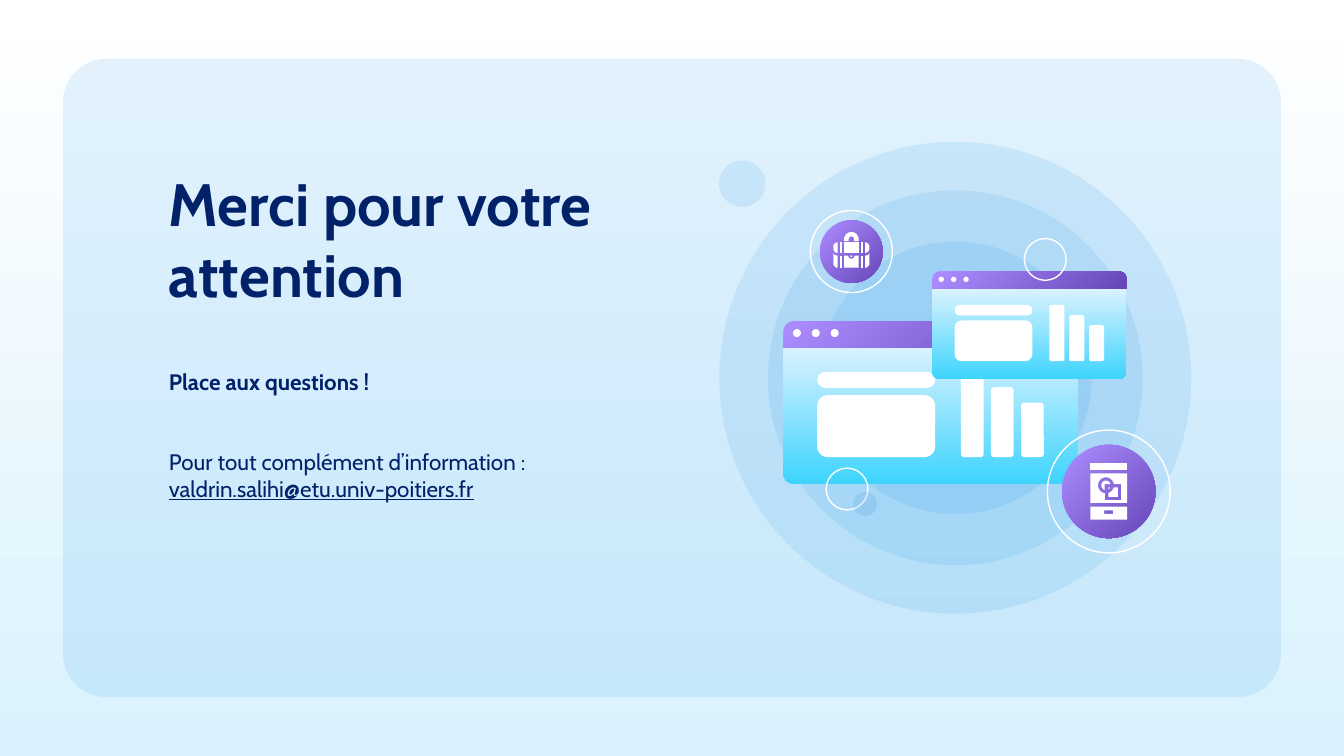
from math import cos, radians, sin

from lxml import etree
from pptx import Presentation
from pptx.dml.color import RGBColor
from pptx.enum import shapes as kinds, text
from pptx.oxml import ns
from pptx.util import Pt

FONT = "Cabin"
NAVY = RGBColor(0x01, 0x21, 0x69)
WHITE = RGBColor(0xFF, 0xFF, 0xFF)
BLUE = RGBColor(0x03, 0x88, 0xE5)
DEEP_BLUE = RGBColor(0x00, 0x48, 0xA7)
ICE = RGBColor(0xDA, 0xF2, 0xFE)
CYAN = RGBColor(0x3E, 0xD4, 0xFD)
LILAC = RGBColor(0xAD, 0x8D, 0xFF)
PURPLE = RGBColor(0x67, 0x46, 0xB9)

DIAGONAL = 315
DOWNWARD = 270
VIOLET = (LILAC, PURPLE, DIAGONAL)
SKY = (ICE, CYAN, DOWNWARD)

OVAL = kinds.MSO_SHAPE.OVAL
ROUNDED = kinds.MSO_SHAPE.ROUNDED_RECTANGLE
TWO_ROUNDED = kinds.MSO_SHAPE.ROUND_2_SAME_RECTANGLE


def paint_gradient(fill, start, end, angle):
    fill.gradient()
    fill.gradient_angle = angle
    for stop, color in zip(fill.gradient_stops, (start, end)):
        stop.color.rgb = color


def paint(shape, fill, opacity=None):
    shape.shadow.inherit = False
    shape.line.fill.background()
    if isinstance(fill, RGBColor):
        shape.fill.solid()
        shape.fill.fore_color.rgb = fill
    else:
        paint_gradient(shape.fill, *fill)
    if opacity is not None:
        for color in shape._element.spPr.iter(ns.qn("a:srgbClr")):
            alpha = etree.SubElement(color, ns.qn("a:alpha"))
            alpha.set("val", str(opacity * 1000))


def add_block(slide, kind, left, top, width, height, fill, adjustments=(), opacity=None):
    shape = slide.shapes.add_shape(kind, Pt(left), Pt(top), Pt(width), Pt(height))
    for index, value in enumerate(adjustments):
        shape.adjustments[index] = value
    paint(shape, fill, opacity)


def add_disc(slide, x, y, diameter, fill, opacity=None):
    add_block(slide, OVAL, x - diameter / 2, y - diameter / 2,
              diameter, diameter, fill, opacity=opacity)


def add_ring(slide, x, y, diameter):
    ring = slide.shapes.add_shape(OVAL, Pt(x - diameter / 2), Pt(y - diameter / 2),
                                  Pt(diameter), Pt(diameter))
    ring.shadow.inherit = False
    ring.fill.background()
    ring.line.color.rgb = WHITE
    ring.line.width = Pt(0.75)


def add_outline(slide, x, y, *contours):
    placed = [[(Pt(x + dx), Pt(y + dy)) for dx, dy in contour] for contour in contours]
    builder = slide.shapes.build_freeform(*placed[0][0], scale=1.0)
    builder.add_line_segments(placed[0][1:], close=True)
    for contour in placed[1:]:
        builder.move_to(*contour[0])
        builder.add_line_segments(contour[1:], close=True)
    paint(builder.convert_to_shape(), WHITE)


def arc(x, y, radius, start, end, steps=16):
    angles = [radians(start + (end - start) * step / steps) for step in range(steps + 1)]
    return [(x + radius * cos(angle), y + radius * sin(angle)) for angle in angles]


def box(left, top, right, bottom):
    return [(left, top), (right, top), (right, bottom), (left, bottom)]


def mirror(contour):
    return [(-x, y) for x, y in contour]


def add_badge(slide, x, y, ring, disc):
    add_ring(slide, x, y, ring)
    add_disc(slide, x, y, disc, VIOLET)


def add_briefcase(slide, x, y):
    upper_side = [(-7.4, -5), (-8.8, -4.6), (-9.6, -3.4), (-9.6, -1.2), (-8.9, 0.2), (-7.4, 0.8)]
    lower_side = [(-9.6, 0.9), (-8.9, 1.9), (-7.4, 2.2), (-7.4, 8.6), (-8.3, 8.6), (-9.6, 7.2)]
    straps = [box(-6.2, -5, -5, 0.8), box(-6.2, 2.1, -5, 8.6)]
    for piece in [upper_side, lower_side, *straps]:
        add_outline(slide, x, y, piece)
        add_outline(slide, x, y, mirror(piece))
    handle = ([(-3.9, -5.6)] + arc(0, -6.6, 3.9, 180, 360) + [(3.9, -5.6), (1.5, -5.6)]
              + arc(0, -6.6, 1.5, 360, 180) + [(-1.5, -5.6)])
    front = arc(0, 2.1, 1.7, 180, 0) + [(3.9, 2.1), (3.9, 8.6), (-3.9, 8.6), (-3.9, 2.1)]
    for piece in [handle, box(-3.9, -5, 3.9, 0.8), front, arc(0, 2.1, 0.7, 180, 0)]:
        add_outline(slide, x, y, piece)


def add_phone(slide, x, y):
    circle_x, circle_y = -1.5, -3.3
    symbol = (arc(circle_x, circle_y, 4.3, -8, -263)
              + [(-2, 4.6), (6.7, 4.6), (6.7, -3.9)])
    crescent = arc(circle_x, circle_y, 2.5, -14, -253) + [(-2.2, -3.9)]
    overlap = arc(circle_x, circle_y, 2.5, 58, 26) + [(-0.2, -2.2)]
    square = (arc(circle_x, circle_y, 4.3, 72, 15)
              + [(4.9, -2.2), (4.9, 2.9), (-0.2, 2.9)])
    button = box(-2.4, 10.2, 2.4, 12)[::-1]
    add_outline(slide, x, y, box(-9.8, -15.1, 9.8, -11.4))
    add_outline(slide, x, y, box(-9.8, -9.7, 9.8, 6.1), symbol)
    add_outline(slide, x, y, box(-9.8, 8.1, 9.8, 15.1), button)
    for piece in (crescent, overlap, square):
        add_outline(slide, x, y, piece)


def add_window(slide, left, top, scale):
    def add_part(kind, x, y, width, height, fill, *adjustments):
        add_block(slide, kind, left + x * scale, top + y * scale,
                  width * scale, height * scale, fill, adjustments)

    add_part(TWO_ROUNDED, 0, 0, 157.8, 14.4, VIOLET, 0.4, 0)
    add_part(TWO_ROUNDED, 0, 14.4, 157.8, 72.8, SKY, 0, 0.08)
    for index in range(3):
        add_part(OVAL, 5.2 + 10.1 * index, 4.3, 4.3, 4.3, WHITE)
    floor = 72.9
    for index, height in enumerate((45.6, 37.5, 29.2)):
        add_part(ROUNDED, 95.2 + 16.1 * index, floor - height, 12.2, height, WHITE, 0.14)
    add_part(ROUNDED, 18.2, 27.2, 63.2, 8.6, WHITE, 0.5)
    add_part(ROUNDED, 18.2, 39.7, 63.2, 33.2, WHITE, 0.17)


def add_text(slide, left, top, width, height, paragraphs):
    frame = slide.shapes.add_textbox(Pt(left), Pt(top), Pt(width), Pt(height)).text_frame
    frame.word_wrap = True
    frame.vertical_anchor = text.MSO_ANCHOR.TOP
    frame.margin_left = frame.margin_right = Pt(7.2)
    frame.margin_top = frame.margin_bottom = Pt(7.2)
    for index, (content, size, bold, space) in enumerate(paragraphs):
        paragraph = frame.paragraphs[0] if index == 0 else frame.add_paragraph()
        paragraph.text = content
        paragraph.space_before = Pt(space)
        paragraph.font.name = FONT
        paragraph.font.size = Pt(size)
        paragraph.font.bold = bold
        paragraph.font.color.rgb = NAVY
    return frame


def main():
    presentation = Presentation()
    presentation.slide_width, presentation.slide_height = Pt(720), Pt(405)
    slide = presentation.slides.add_slide(presentation.slide_layouts[6])
    paint_gradient(slide.background.fill, WHITE, ICE, DOWNWARD)

    add_block(slide, ROUNDED, 33.75, 31.5, 652.5, 342, BLUE, (0.068,), 10)
    add_text(slide, 83.4, 82, 253, 82, [("Merci pour votre attention", 32, True, 0)])

    for diameter in (252.8, 200.8, 146):
        add_disc(slide, 511.8, 202.4, diameter, BLUE, 10)
    add_badge(slide, 456.1, 134.8, 44, 33.6)
    add_briefcase(slide, 456.1, 134.8)
    add_window(slide, 419.6, 172, 1)
    add_window(slide, 499.4, 145.4, 0.66)
    add_badge(slide, 594, 263.3, 65.8, 50)
    add_phone(slide, 594, 263.3)

    add_ring(slide, 453.8, 262, 22.4)
    add_disc(slide, 463.4, 270, 12.4, (BLUE, DEEP_BLUE, DIAGONAL), 10)
    add_ring(slide, 560, 139, 22.4)
    add_disc(slide, 397.6, 98.4, 24.8, BLUE, 10)

    contact = add_text(slide, 83.4, 190, 223, 91.4, [
        ("Place aux questions !", 12, True, 0),
        ("Pour tout complément d’information :\v", 12, False, 28.6),
    ]).paragraphs[1]
    address = contact.add_run()
    address.text = "valdrin.salihi@etu.univ-poitiers.fr"
    address.font.underline = True

    presentation.save("out.pptx")


if __name__ == "__main__":
    main()
